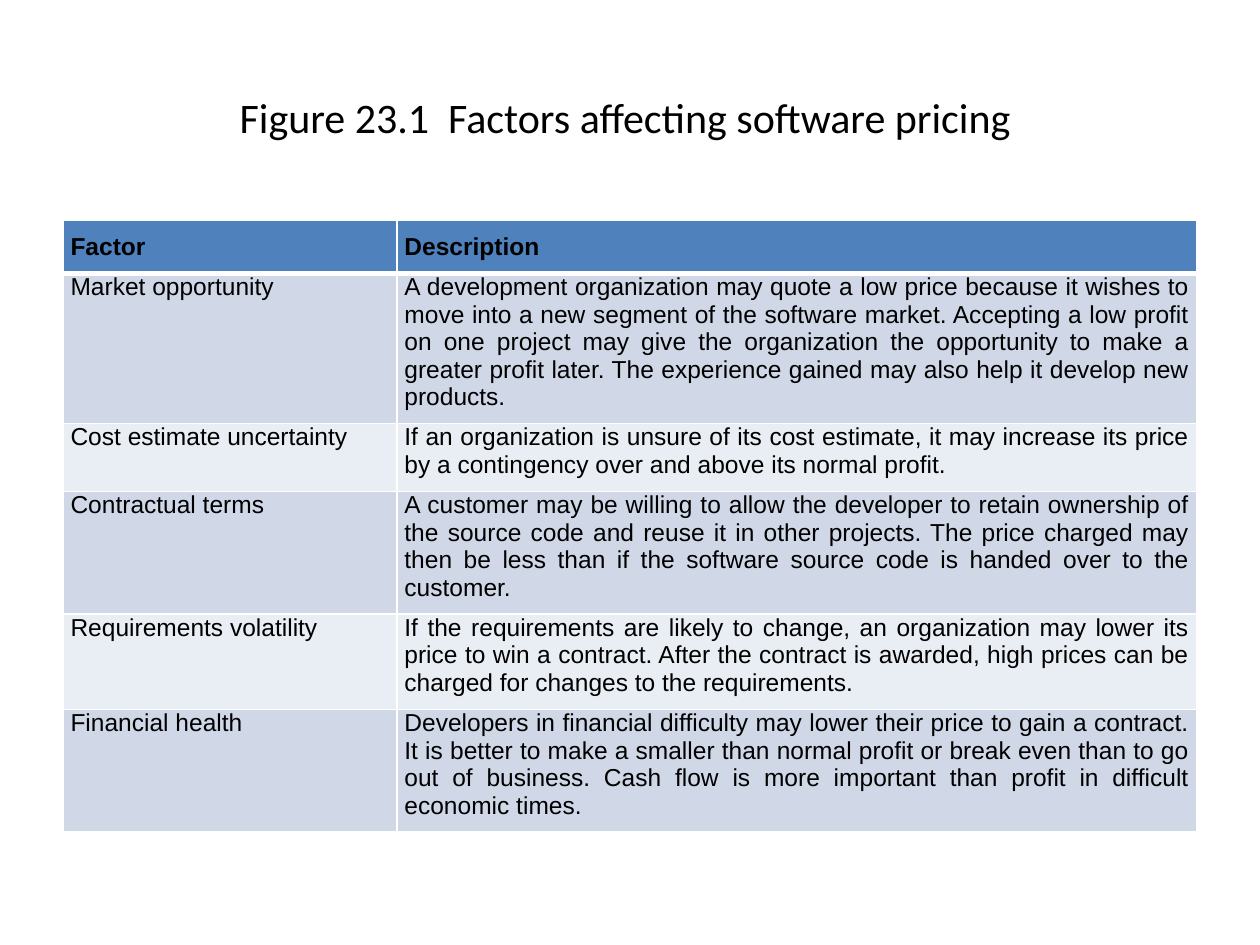
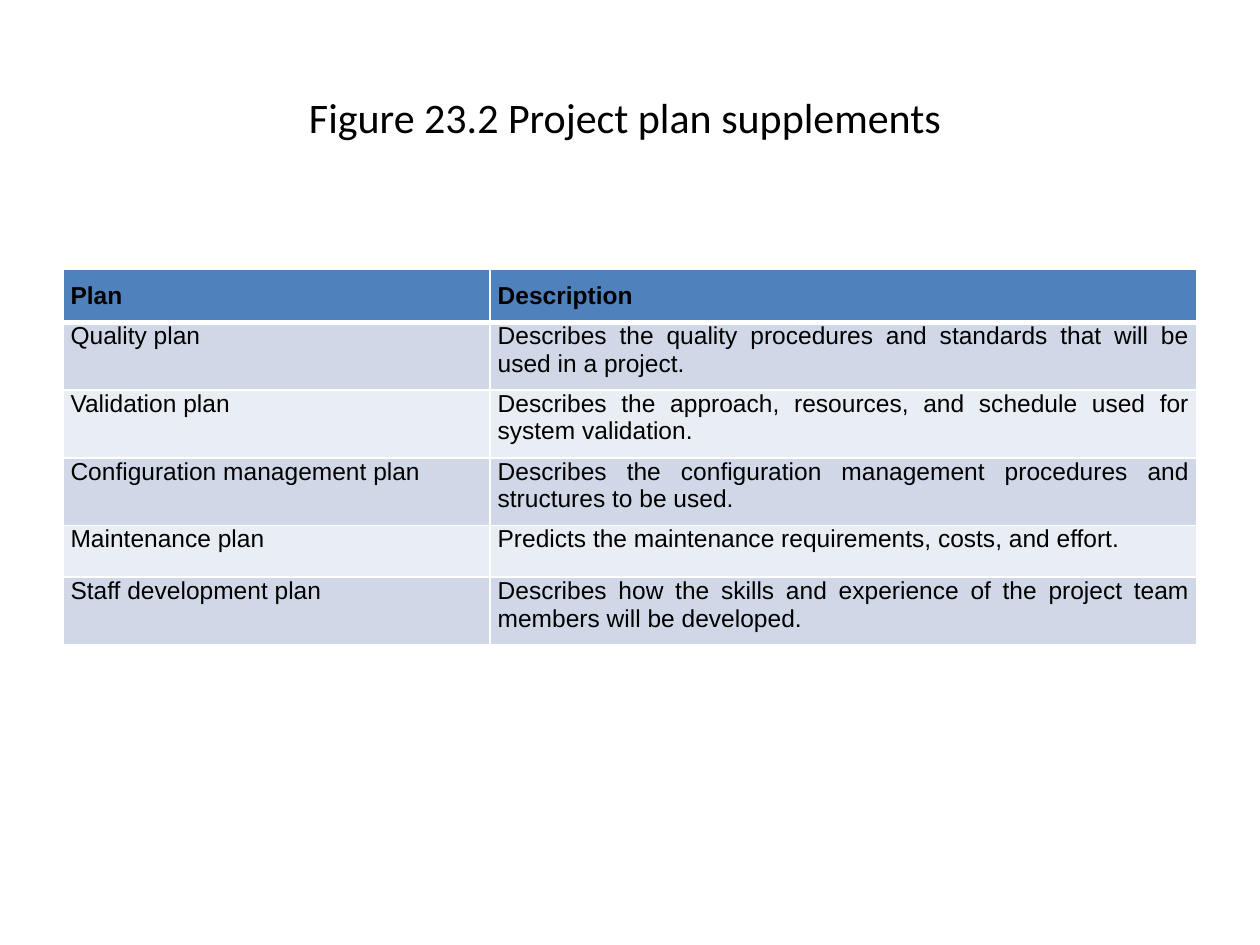
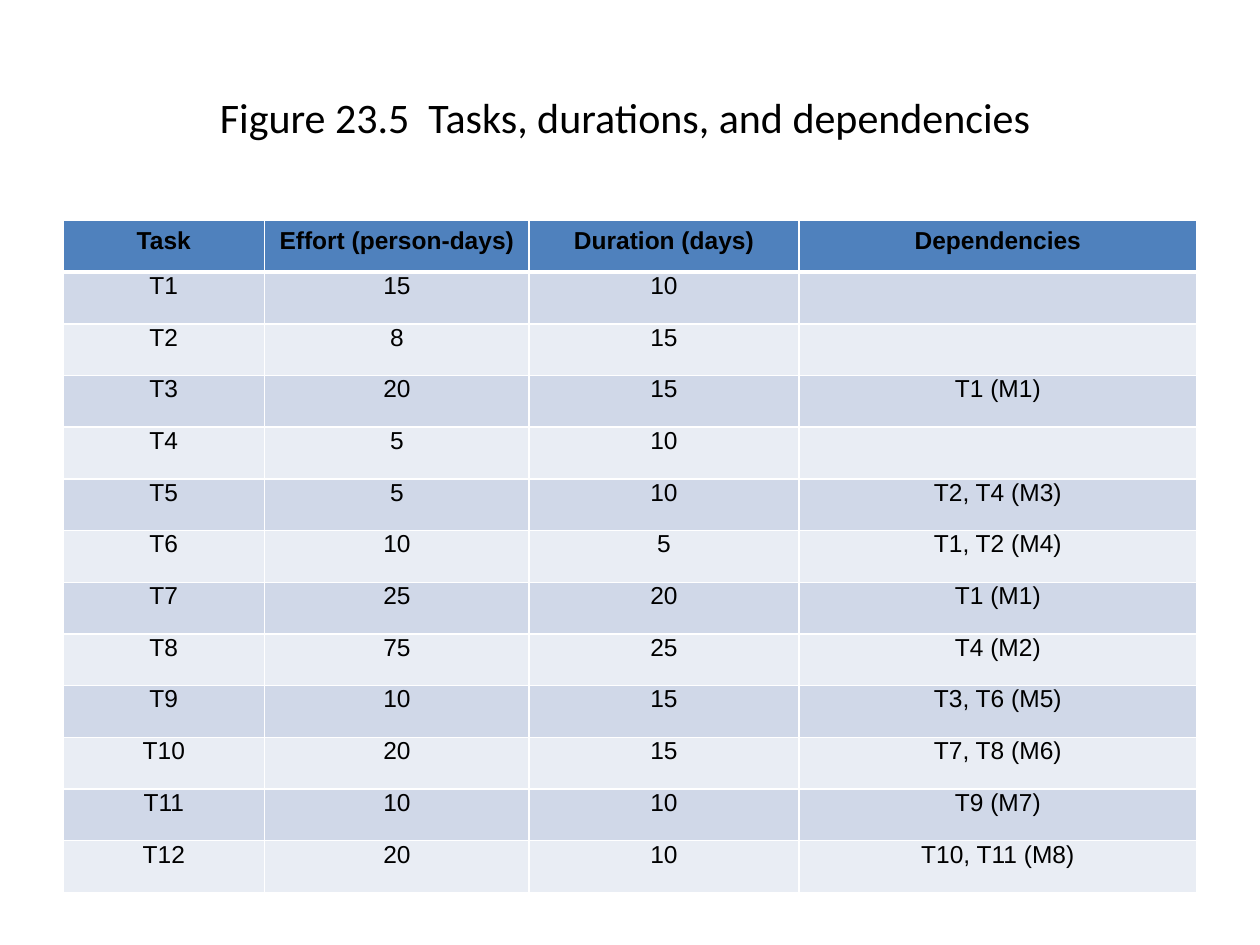
import dataclasses

import lxml.etree
import pptx
import pptx.dml.color
import pptx.enum.text
import pptx.oxml.ns
import pptx.util

ALIGN = pptx.enum.text.PP_ALIGN
WIDE = pptx.util.Inches(10)
HIGH = pptx.util.Inches(7.5)
LEFT, SPAN = 5, 90
ROW = 5.47
BLACK, WHITE, HEAD = "000000", "FFFFFF", "4F81BD"
BANDS = ("D0D8E8", "E9EDF4")


@dataclasses.dataclass(frozen=True)
class Grid:
    title: str
    top: float
    cols: tuple[float, ...]
    rows: tuple[tuple[str, ...], ...]
    pad: float
    heads: tuple[int, ...]
    aligns: tuple[int, ...]


def color(code: str) -> pptx.dml.color.RGBColor:
    return pptx.dml.color.RGBColor.from_string(code)


def across(share: float) -> int:
    return round(WIDE * share / 100)


def down(share: float) -> int:
    return round(HIGH * share / 100)


def style(para, name: str, size: float, bold: bool, align: int) -> None:
    para.alignment = align
    font = para.font
    font.name, font.size, font.bold = name, pptx.util.Pt(size), bold
    font.color.rgb = color(BLACK)


def edge(cell, side: str, width: float) -> None:
    name = pptx.oxml.ns.qn
    props = cell._tc.get_or_add_tcPr()
    line = lxml.etree.SubElement(props, name(f"a:ln{side}"), w=str(pptx.util.Pt(width)))
    fill = lxml.etree.SubElement(line, name("a:solidFill"))
    lxml.etree.SubElement(fill, name("a:srgbClr"), val=WHITE)


def draw_cell(cell, text: str, row: int, pad: float, align: int) -> None:
    head = row == 0
    cell.text = text
    cell.margin_left = cell.margin_right = pptx.util.Inches(0.06)
    cell.margin_top = pptx.util.Inches(pad if head else 0)
    cell.margin_bottom = pptx.util.Inches(pad)
    for side in "LRTB":
        thick = (row, side) in ((0, "B"), (1, "T"))
        edge(cell, side, 3 if thick else 1)
    cell.fill.solid()
    cell.fill.fore_color.rgb = color(HEAD if head else BANDS[(row - 1) % 2])
    style(cell.text_frame.paragraphs[0], "Arial", 14, head, align)


def draw_title(slide, text: str) -> None:
    title = slide.shapes.title
    title.left, title.top = across(LEFT), down(4)
    title.width, title.height = across(SPAN), down(16.67)
    title.text_frame.text = text
    title.text_frame.vertical_anchor = pptx.enum.text.MSO_ANCHOR.MIDDLE
    style(title.text_frame.paragraphs[0], "Calibri", 24, False, ALIGN.CENTER)


def draw_grid(deck, grid: Grid) -> None:
    slide = deck.slides.add_slide(deck.slide_layouts[5])
    draw_title(slide, grid.title)
    count = len(grid.rows)
    table = slide.shapes.add_table(
        count, len(grid.cols), across(LEFT), down(grid.top), across(SPAN), down(ROW * count)
    ).table
    for col, share in zip(table.columns, grid.cols):
        col.width = across(share)
    for row, texts in enumerate(grid.rows):
        table.rows[row].height = down(ROW)
        aligns = grid.aligns if row else grid.heads
        for col, (text, align) in enumerate(zip(texts, aligns)):
            draw_cell(table.cell(row, col), text, row, grid.pad, align)


PROSE = dict(pad=0.1, heads=(ALIGN.JUSTIFY,) * 2, aligns=(ALIGN.LEFT, ALIGN.JUSTIFY))
DATA = dict(pad=0.05, heads=(ALIGN.CENTER,) * 4, aligns=(ALIGN.CENTER,) * 4)

GRIDS = (
    Grid(
        "Figure 23.1  Factors affecting software pricing ",
        23.33,
        (26.5, 63.5),
        (
            ("Factor", "Description"),
            (
                "Market opportunity",
                "A development organization may quote a low price because it wishes to move "
                "into a new segment of the software market. Accepting a low profit on one "
                "project may give the organization the opportunity to make a greater profit "
                "later. The experience gained may also help it develop new products.",
            ),
            (
                "Cost estimate uncertainty",
                "If an organization is unsure of its cost estimate, it may increase its price "
                "by a contingency over and above its normal profit.",
            ),
            (
                "Contractual terms",
                "A customer may be willing to allow the developer to retain ownership of the "
                "source code and reuse it in other projects. The price charged may then be "
                "less than if the software source code is handed over to the customer.",
            ),
            (
                "Requirements volatility",
                "If the requirements are likely to change, an organization may lower its "
                "price to win a contract. After the contract is awarded, high prices can be "
                "charged for changes to the requirements.",
            ),
            (
                "Financial health",
                "Developers in financial difficulty may lower their price to gain a contract. "
                "It is better to make a smaller than normal profit or break even than to go "
                "out of business. Cash flow is more important than profit in difficult "
                "economic times.",
            ),
        ),
        **PROSE,
    ),
    Grid(
        "Figure 23.2 Project plan supplements ",
        28.53,
        (33.9, 56.1),
        (
            ("Plan", "Description"),
            (
                "Quality plan",
                "Describes the quality procedures and standards that will be used in a project.",
            ),
            (
                "Validation plan",
                "Describes the approach, resources, and schedule used for system validation.",
            ),
            (
                "Configuration management plan",
                "Describes the configuration management procedures and structures to be used.",
            ),
            (
                "Maintenance plan",
                "Predicts the maintenance requirements, costs, and effort.",
            ),
            (
                "Staff development plan",
                "Describes how the skills and experience of the project team members will be "
                "developed.",
            ),
        ),
        **PROSE,
    ),
    Grid(
        "Figure 23.5  Tasks, durations, and dependencies ",
        23.33,
        (16, 21, 21.4, 31.6),
        (
            ("Task", "Effort (person-days)", "Duration (days)", "Dependencies"),
            ("T1", "15", "10", ""),
            ("T2", "8", "15", ""),
            ("T3", "20", "15", "T1 (M1)"),
            ("T4", "5", "10", ""),
            ("T5", "5", "10", "T2, T4 (M3)"),
            ("T6", "10", "5", "T1, T2 (M4)"),
            ("T7", "25", "20", "T1 (M1)"),
            ("T8", "75", "25", "T4 (M2)"),
            ("T9", "10", "15", "T3, T6 (M5)"),
            ("T10", "20", "15", "T7, T8 (M6)"),
            ("T11", "10", "10", "T9 (M7)"),
            ("T12", "20", "10", "T10, T11 (M8)"),
        ),
        **DATA,
    ),
)


def main() -> None:
    deck = pptx.Presentation()
    deck.slide_width, deck.slide_height = WIDE, HIGH
    for grid in GRIDS:
        draw_grid(deck, grid)
    deck.save("out.pptx")


if __name__ == "__main__":
    main()
